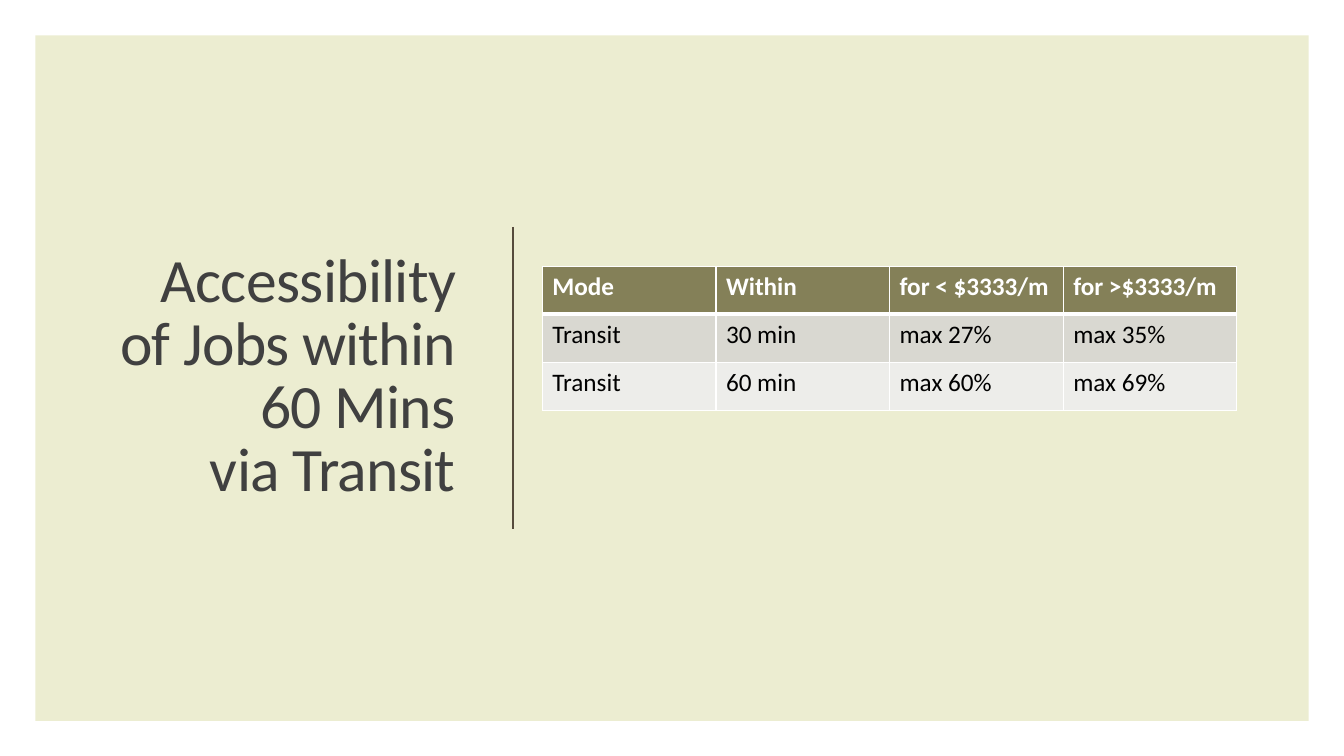
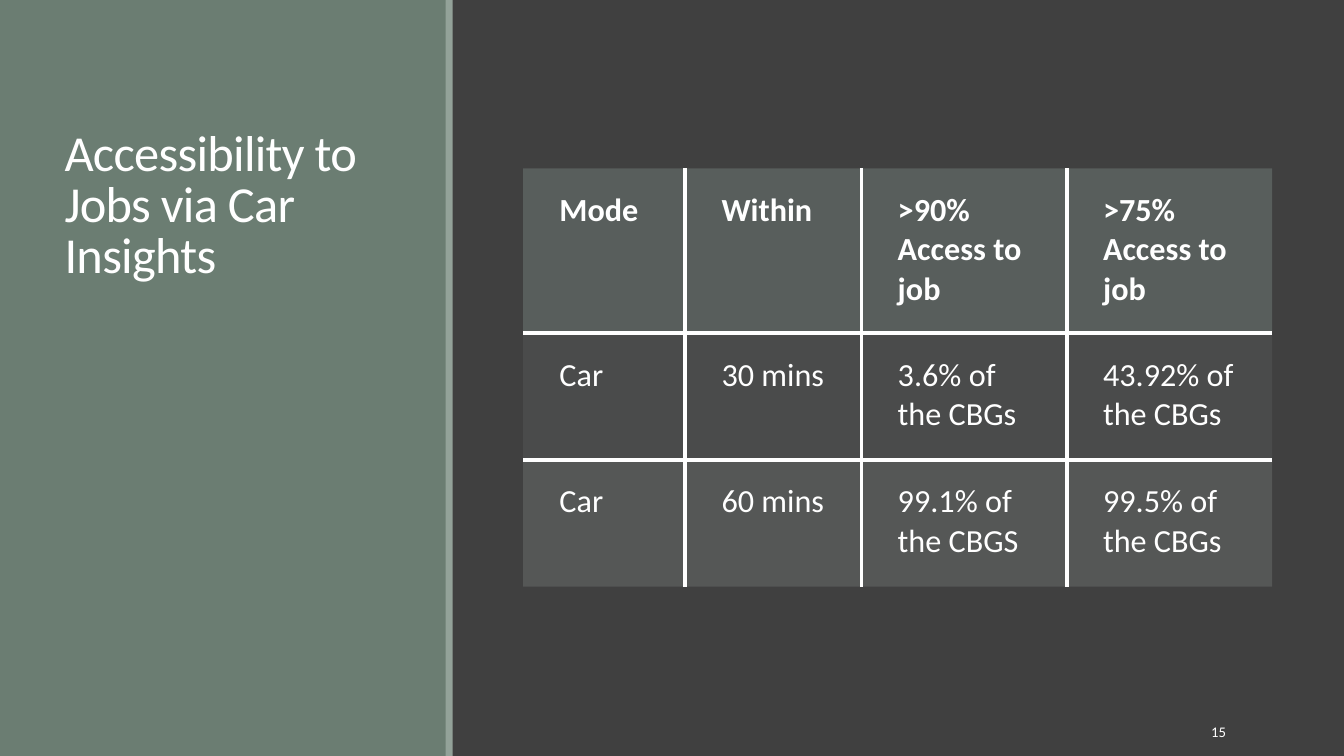
"""Build two slides on access to jobs by transit and by car."""
from dataclasses import dataclass

from lxml.etree import SubElement
from pptx import Presentation
from pptx.dml.color import RGBColor
from pptx.enum.shapes import MSO_CONNECTOR, MSO_SHAPE
from pptx.enum.text import MSO_ANCHOR, MSO_AUTO_SIZE, PP_ALIGN
from pptx.oxml import parse_xml
from pptx.oxml.ns import nsdecls, qn
from pptx.util import Inches, Pt

WIDE, HIGH = Inches(13.333), Inches(7.5)
FONT = "Calibri"
WHITE, BLACK, DARK = "FFFFFF", "000000", "404040"
CREAM, BROWN, GREEN, SAGE = "ECEDD1", "564B3C", "6B7D72", "93A299"


@dataclass(frozen=True)
class Box:
    """Hold a place as percent shares of the slide."""
    left: float
    top: float
    width: float
    height: float

    def frame(self) -> tuple[int, int, int, int]:
        """Give left, top, width and height in slide units."""
        return (across(self.left), down(self.top),
                across(self.width), down(self.height))


@dataclass(frozen=True)
class Heading:
    """Hold the text and look of a slide title."""
    lines: tuple[str, ...]
    box: Box
    size: float
    ink: str
    align: PP_ALIGN
    anchor: MSO_ANCHOR


@dataclass(frozen=True)
class Fill:
    """Hold a cell fill and its percent of cover."""
    hue: str
    cover: int = 100


@dataclass(frozen=True)
class Grid:
    """Hold the cells and look of a table."""
    box: Box
    cells: tuple[tuple[str, ...], ...]
    cols: tuple[float, ...]
    rows: tuple[float, ...]
    fills: tuple[Fill, ...]
    ink: str
    size: float
    inset: tuple[float, float, float, float]
    outer: float
    inner: float
    under: float


def across(share: float) -> int:
    """Turn a percent of the width into a length."""
    return round(WIDE * share / 100)


def down(share: float) -> int:
    """Turn a percent of the height into a length."""
    return round(HIGH * share / 100)


def paint(target, hue: str) -> None:
    """Give a fill one solid colour."""
    target.solid()
    target.fore_color.rgb = RGBColor.from_string(hue)


def write(para, text: str, size: float, ink: str, bold: bool = False):
    """Add one styled run to a paragraph."""
    run = para.add_run()
    run.text = text
    run.font.name, run.font.size, run.font.bold = FONT, Pt(size), bold
    run.font.color.rgb = RGBColor.from_string(ink)
    return run


def start(deck, back: str, head: Heading):
    """Add a slide with its back colour and title."""
    slide = deck.slides.add_slide(deck.slide_layouts[5])
    paint(slide.background.fill, back)
    title = slide.shapes.title
    title.left, title.top, title.width, title.height = head.box.frame()
    frame = title.text_frame
    frame.word_wrap, frame.auto_size = True, MSO_AUTO_SIZE.NONE
    frame.vertical_anchor = head.anchor
    para = frame.paragraphs[0]
    para.alignment, para.line_spacing = head.align, 0.85
    for index, line in enumerate(head.lines):
        if index:
            para.add_line_break()
        run = write(para, line, head.size, head.ink)
        run._r.get_or_add_rPr().set("spc", "-50")
    return slide


def add_block(slide, box: Box, hue: str) -> None:
    """Add a plain filled block."""
    shape = slide.shapes.add_shape(MSO_SHAPE.RECTANGLE, *box.frame())
    shape.shadow.inherit = False
    paint(shape.fill, hue)
    shape.line.fill.background()


def add_rule(slide, left: float, top: float, bottom: float) -> None:
    """Add an upright line."""
    line = slide.shapes.add_connector(
        MSO_CONNECTOR.STRAIGHT, across(left), down(top),
        across(left), down(bottom))
    line.line.width = Pt(1.5)
    line.line.color.rgb = RGBColor.from_string(BROWN)
    SubElement(line._element.spPr, qn("a:effectLst"))


def edge(side: str, width: float):
    """Make one white cell edge, or a blank one for no width."""
    look = (f'<a:solidFill><a:srgbClr val="{WHITE}"/></a:solidFill>'
            if width else "<a:noFill/>")
    return parse_xml(
        f'<a:ln{side} {nsdecls("a")} w="{Pt(width)}">{look}</a:ln{side}>')


def style(cell, grid: Grid, row: int, col: int) -> None:
    """Set the fill, inset and edges of a cell."""
    fill = grid.fills[row]
    paint(cell.fill, fill.hue)
    props = cell._tc.get_or_add_tcPr()
    if fill.cover < 100:
        tint = props.find(qn("a:solidFill")).find(qn("a:srgbClr"))
        SubElement(tint, qn("a:alpha"), val=str(fill.cover * 1000))
    (cell.margin_left, cell.margin_top,
     cell.margin_right, cell.margin_bottom) = map(Inches, grid.inset)
    last_row, last_col = len(grid.rows) - 1, len(grid.cols) - 1
    above = {0: grid.outer, 1: grid.under}.get(row, grid.inner)
    below = {last_row: grid.outer, 0: grid.under}.get(row, grid.inner)
    widths = {"L": grid.inner if col else grid.outer,
              "R": grid.inner if col < last_col else grid.outer,
              "T": above, "B": below}
    for place, (side, width) in enumerate(widths.items()):
        props.insert(place, edge(side, width))


def add_grid(slide, grid: Grid) -> None:
    """Add a table and fill its cells."""
    left, top, width, height = grid.box.frame()
    table = slide.shapes.add_table(
        len(grid.rows), len(grid.cols), left, top, width, height).table
    table.horz_banding = False
    for column, part in zip(table.columns, grid.cols):
        column.width = round(width * part / sum(grid.cols))
    for line, part in zip(table.rows, grid.rows):
        line.height = round(height * part / sum(grid.rows))
    for row, texts in enumerate(grid.cells):
        for col, text in enumerate(texts):
            cell = table.cell(row, col)
            style(cell, grid, row, col)
            write(cell.text_frame.paragraphs[0], text, grid.size,
                  WHITE if row == 0 else grid.ink, row == 0)


def add_number(slide, text: str, box: Box) -> None:
    """Add the page number."""
    frame = slide.shapes.add_textbox(*box.frame()).text_frame
    frame.word_wrap, frame.vertical_anchor = True, MSO_ANCHOR.MIDDLE
    para = frame.paragraphs[0]
    para.alignment = PP_ALIGN.RIGHT
    write(para, text, 10.5, WHITE)


def add_transit(deck) -> None:
    """Add the transit slide."""
    slide = start(deck, WHITE, Heading(
        ("Accessibility of Jobs within 60 Mins", "via Transit"),
        Box(7.95, 14, 26.7, 72), 44, DARK,
        PP_ALIGN.RIGHT, MSO_ANCHOR.MIDDLE))
    add_block(slide, Box(2.63, 4.67, 94.74, 90.67), CREAM)
    panel = slide.shapes[-1]._element
    slide.shapes.title._element.addprevious(panel)
    add_rule(slide, 38.18, 30, 70)
    add_grid(slide, Grid(
        Box(40.35, 35.2, 51.68, 19.07),
        (("Mode", "Within", "for < $3333/m", "for >$3333/m"),
         ("Transit", "30 min", "max 27%", "max 35%"),
         ("Transit", "60 min", "max 60%", "max 69%")),
        (1, 1, 1, 1), (1, 1, 1),
        (Fill("848058"), Fill("D9D8D1"), Fill("EDEDEA")),
        BLACK, 18, (0.1, 0.05, 0.1, 0.05), 1, 1, 3))


def add_car(deck) -> None:
    """Add the car slide."""
    slide = start(deck, DARK, Heading(
        ("Accessibility to Jobs via Car Insights",),
        Box(4.05, 7.6, 25.28, 30.67), 36, WHITE,
        PP_ALIGN.LEFT, MSO_ANCHOR.BOTTOM))
    add_block(slide, Box(0, 0, 33.23, 100), GREEN)
    panel = slide.shapes[-1]._element
    slide.shapes.title._element.addprevious(panel)
    add_block(slide, Box(33.15, 0, 0.53, 100), SAGE)
    add_grid(slide, Grid(
        Box(38.93, 22.27, 55.73, 55.33),
        (("Mode", "Within", ">90% Access to job", ">75% Access to job"),
         ("Car", "30 mins", "3.6% of the CBGs", "43.92% of the CBGs"),
         ("Car", "60 mins", "99.1% of the CBGS", "99.5% of the CBGs")),
        (1.61, 1.75, 2.04, 2.04), (1.64, 1.26, 1.26),
        (Fill("636B68", 70), Fill("878E8B", 15), Fill("878E8B", 30)),
        WHITE, 23, (0.36, 0.22, 0.22, 0.22), 0, 3, 3))
    add_number(slide, "15", Box(81.23, 94.13, 10.73, 5.33))


def main() -> None:
    """Build and save the deck."""
    deck = Presentation()
    deck.slide_width, deck.slide_height = WIDE, HIGH
    add_transit(deck)
    add_car(deck)
    deck.save("out.pptx")


if __name__ == "__main__":
    main()
